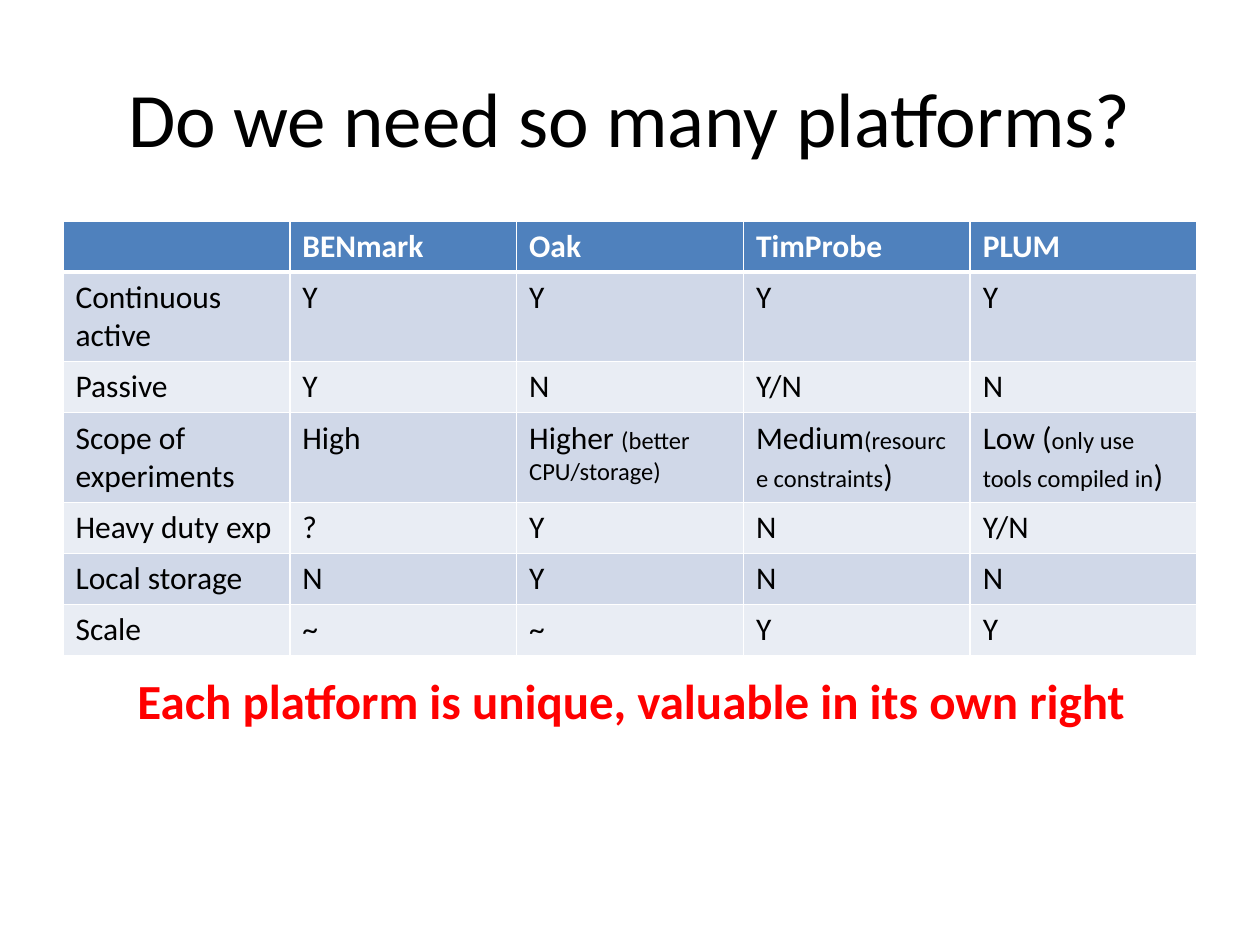
from lxml.etree import SubElement
from pptx import Presentation
from pptx.dml.color import RGBColor
from pptx.enum.text import MSO_ANCHOR, PP_ALIGN
from pptx.oxml.ns import qn
from pptx.util import Emu, Pt

PX = 914400 / 126


def px(*values):
    return [Emu(round(v * PX)) for v in values]


def add_run(p, text, size, color, bold=False):
    r = p.add_run()
    r.text = text
    r.font.name = "Calibri"
    r.font.size = Pt(size)
    r.font.bold = bold
    r.font.color.rgb = RGBColor.from_string(color)


prs = Presentation()
prs.slide_width, prs.slide_height = px(1260, 945)
s = prs.slides.add_slide(prs.slide_layouts[5])

title = s.shapes.title
title.left, title.top, title.width, title.height = px(63, 38, 1134, 158)
tf = title.text_frame
tf.vertical_anchor = MSO_ANCHOR.MIDDLE
p = tf.paragraphs[0]
p.alignment = PP_ALIGN.CENTER
add_run(p, "Do we need so many platforms?", 44, "000000")

rows = [
    ["", "BENmark", "Oak", "TimProbe", "PLUM"],
    ["Continuous active", "Y", "Y", "Y", "Y"],
    ["Passive", "Y", "N", "Y/N", "N"],
    [
        "Scope of experiments",
        "High",
        [("Higher ", 18), ("(better CPU/storage)", 14)],
        [("Medium", 18), ("(resource constraints", 14), (")", 18)],
        [("Low (", 18), ("only use tools compiled in", 14), (")", 18)],
    ],
    ["Heavy duty exp", "?", "Y", "N", "Y/N"],
    ["Local storage", "N", "Y", "N", "N"],
    ["Scale", "~", "~", "Y", "Y"],
]
frame = s.shapes.add_table(len(rows), len(rows[0]), *px(63, 221, 1134, 51 * len(rows)))
table = frame.table
for i, row in enumerate(rows):
    header = i == 0
    fill = "4F81BD" if header else ("E9EDF4", "D0D8E8")[i % 2]
    widths = {"L": 1, "R": 1, "T": 3 if i == 1 else 1, "B": 3 if header else 1}
    for j, content in enumerate(row):
        cell = table.cell(i, j)
        tcPr = cell._tc.get_or_add_tcPr()
        for side, width in widths.items():
            ln = SubElement(tcPr, qn(f"a:ln{side}"), w=str(Pt(width)))
            solid = SubElement(ln, qn("a:solidFill"))
            SubElement(solid, qn("a:srgbClr"), val="FFFFFF")
        cell.fill.solid()
        cell.fill.fore_color.rgb = RGBColor.from_string(fill)
        runs = [(content, 18)] if isinstance(content, str) else content
        for text, size in runs:
            if text:
                color = "FFFFFF" if header else "000000"
                add_run(cell.text_frame.paragraphs[0], text, size, color, header)

sp = s.shapes.add_textbox(*px(107, 664, 1048, 72))
tf = sp.text_frame
tf.word_wrap = True
p = tf.paragraphs[0]
p.alignment = PP_ALIGN.CENTER
add_run(p, "Each platform is unique, valuable in its own right", 28, "FF0000", True)

prs.save("out.pptx")
